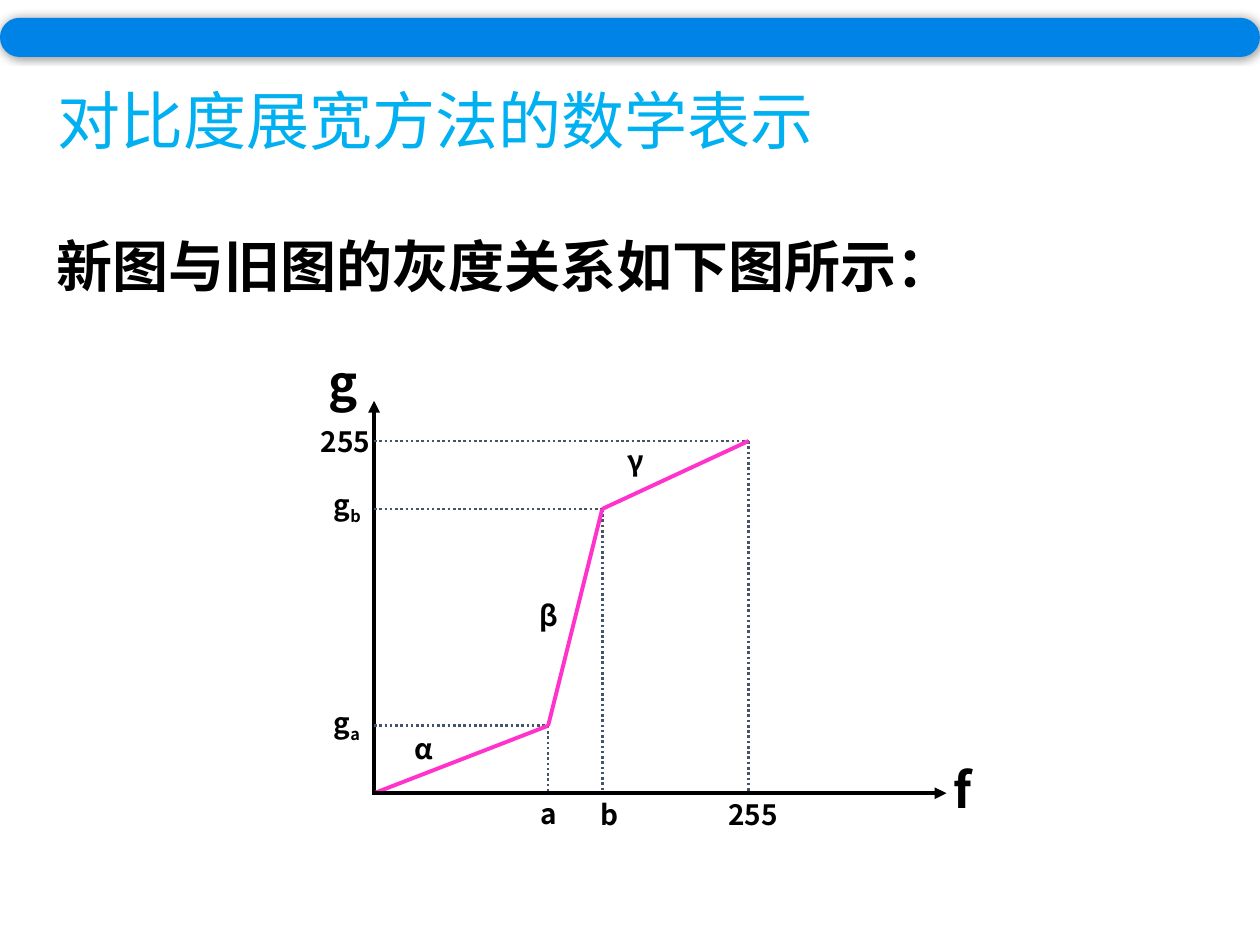
from dataclasses import dataclass
from itertools import pairwise

from lxml import etree
from pptx import Presentation
from pptx import util as u
from pptx.dml.color import RGBColor
from pptx.enum import dml, shapes, text
from pptx.oxml import parse_xml
from pptx.oxml.ns import nsdecls, qn

FONT = "Noto Sans CJK SC"
COLORS = {
    "bar": "0083E6",
    "title": "00B0F0",
    "ink": "000000",
    "guide": "44546A",
    "curve": "FF33CC",
}


@dataclass
class Label:
    text: str
    left: float
    top: float
    width: float
    height: float = 0.94
    size: int = 16
    sub: str = ""
    color: str = "ink"
    bold: bool = True
    wrap: bool = True


@dataclass
class Point:
    x: float
    y: float


@dataclass
class Stroke:
    color: str
    width: float
    dash: dml.MSO_LINE | None = None
    arrow: bool = False


AXIS = Stroke("ink", 2.25, arrow=True)
GUIDE = Stroke("guide", 1.5, dash=dml.MSO_LINE.ROUND_DOT)
CURVE = Stroke("curve", 2.25)

ORIGIN = Point(7.54, 15.99)
KNOTS = [Point(11.05, 14.63), Point(12.14, 10.26), Point(15.09, 8.89)]

HEADINGS = [
    Label("对比度展宽方法的数学表示", 0.91, 1.52, 15.9, 3.33, 36,
          color="title", bold=False, wrap=False),
    Label("新图与旧图的灰度关系如下图所示：", 0.89, 4.55, 22.91, 1.63, 32),
]
CHART_LABELS = [
    Label("255", 14.43, 15.95, 2.11),
    Label("a", 10.64, 15.93, 0.81),
    Label("b", 11.86, 15.95, 0.81),
    Label("f", 18.97, 15.19, 1.35, 1.45, 28),
    Label("g", 6.38, 6.99, 1.07, 1.45, 28),
    Label("255", 6.22, 8.43, 2.87),
    Label("g", 6.48, 14.1, 1.35, sub="a"),
    Label("g", 6.48, 9.7, 1.35, sub="b"),
    Label("α", 8.1, 14.63, 1.07),
    Label("γ", 12.4, 8.81, 1.09, wrap=False),
    Label("β", 10.62, 11.94, 1.09, wrap=False),
]


def rgb(name: str) -> RGBColor:
    return RGBColor.from_string(COLORS[name])


def add_bar(s) -> None:
    sp = s.shapes.add_shape(shapes.MSO_SHAPE.ROUNDED_RECTANGLE,
                            u.Cm(0), u.Cm(0.36), u.Cm(25.4), u.Cm(0.79))
    sp.adjustments[0] = 0.5
    sp.fill.solid()
    sp.fill.fore_color.rgb = rgb("bar")
    sp.line.fill.background()
    sp.shadow.inherit = False
    effects = sp._element.spPr.find(qn("a:effectLst"))
    effects.append(parse_xml(
        f'<a:outerShdw {nsdecls("a")} blurRad="{u.Pt(5)}" dist="0" dir="0">'
        f'<a:srgbClr val="{COLORS["ink"]}"><a:alpha val="40000"/></a:srgbClr>'
        '</a:outerShdw>'))


def add_label(s, label: Label) -> None:
    sp = s.shapes.add_textbox(u.Cm(label.left), u.Cm(label.top),
                              u.Cm(label.width), u.Cm(label.height))
    tf = sp.text_frame
    tf.word_wrap = label.wrap
    tf.auto_size = text.MSO_AUTO_SIZE.SHAPE_TO_FIT_TEXT
    p = tf.paragraphs[0]
    font_format = {"name": FONT, "size": u.Pt(label.size), "bold": label.bold}
    for content in filter(None, (label.text, label.sub)):
        r = p.add_run()
        r.text = content
        for name, value in font_format.items():
            setattr(r.font, name, value)
        r.font.color.rgb = rgb(label.color)
        etree.SubElement(r._r.rPr, qn("a:ea"), typeface=FONT)
    if label.sub:
        r._r.rPr.set("baseline", "-25000")


def add_line(s, start: Point, end: Point, stroke: Stroke) -> None:
    line = s.shapes.add_connector(
        shapes.MSO_CONNECTOR.STRAIGHT,
        u.Cm(start.x), u.Cm(start.y), u.Cm(end.x), u.Cm(end.y))
    line.line.color.rgb = rgb(stroke.color)
    line.line.width = u.Pt(stroke.width)
    if stroke.dash:
        line.line.dash_style = stroke.dash
    if stroke.arrow:
        etree.SubElement(line.line._get_or_add_ln(), qn("a:tailEnd"), type="triangle")
    etree.SubElement(line._element.spPr, qn("a:effectLst"))


def add_chart_lines(s) -> None:
    """Draw the axes, the guides from each knot to both axes, and the curve."""
    add_line(s, ORIGIN, Point(ORIGIN.x, 8.08), AXIS)
    for knot in KNOTS:
        add_line(s, Point(ORIGIN.x, knot.y), knot, GUIDE)
        add_line(s, knot, Point(knot.x, ORIGIN.y), GUIDE)
    for start, end in pairwise([ORIGIN, *KNOTS]):
        add_line(s, start, end, CURVE)
    add_line(s, Point(7.49, ORIGIN.y), Point(19.08, ORIGIN.y), AXIS)


def main() -> None:
    prs = Presentation()
    prs.slide_width, prs.slide_height = u.Cm(25.4), u.Cm(19.05)
    s = prs.slides.add_slide(prs.slide_layouts[6])
    add_bar(s)
    for label in HEADINGS:
        add_label(s, label)
    add_chart_lines(s)
    for label in CHART_LABELS:
        add_label(s, label)
    prs.save("out.pptx")


if __name__ == "__main__":
    main()
